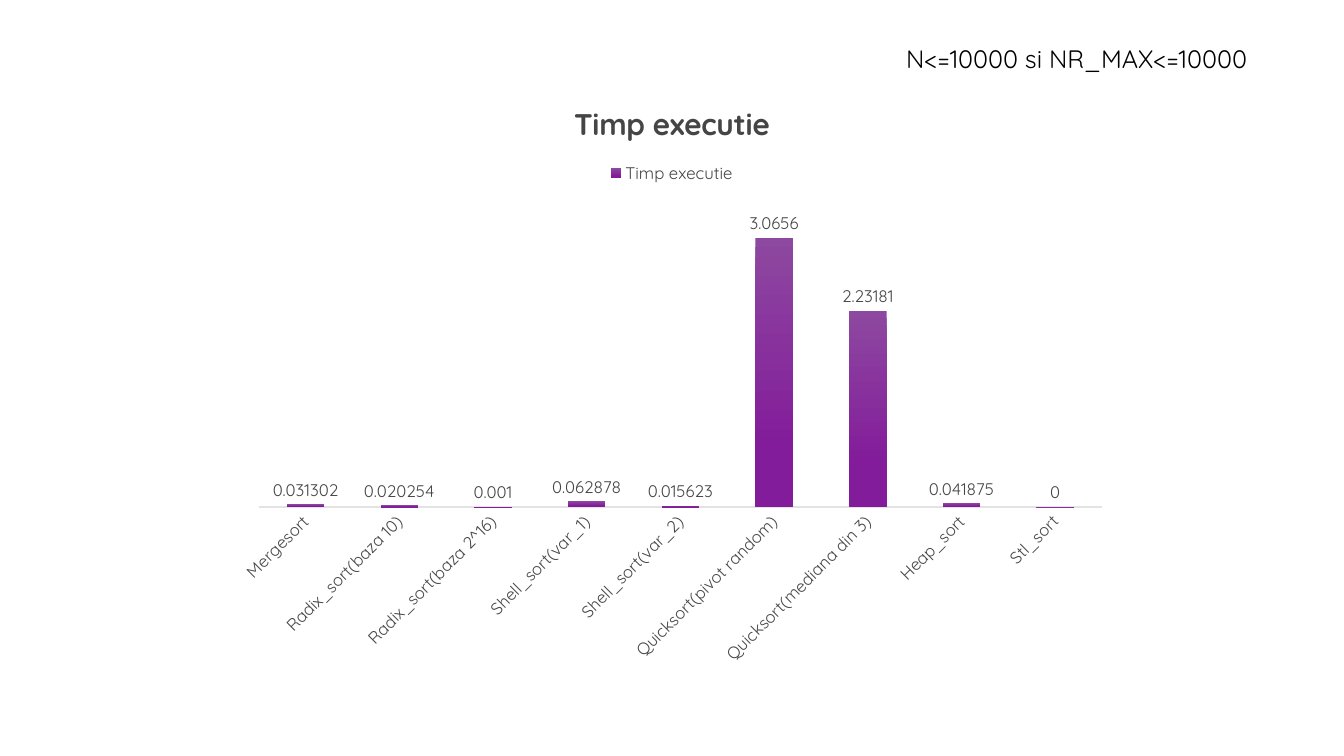
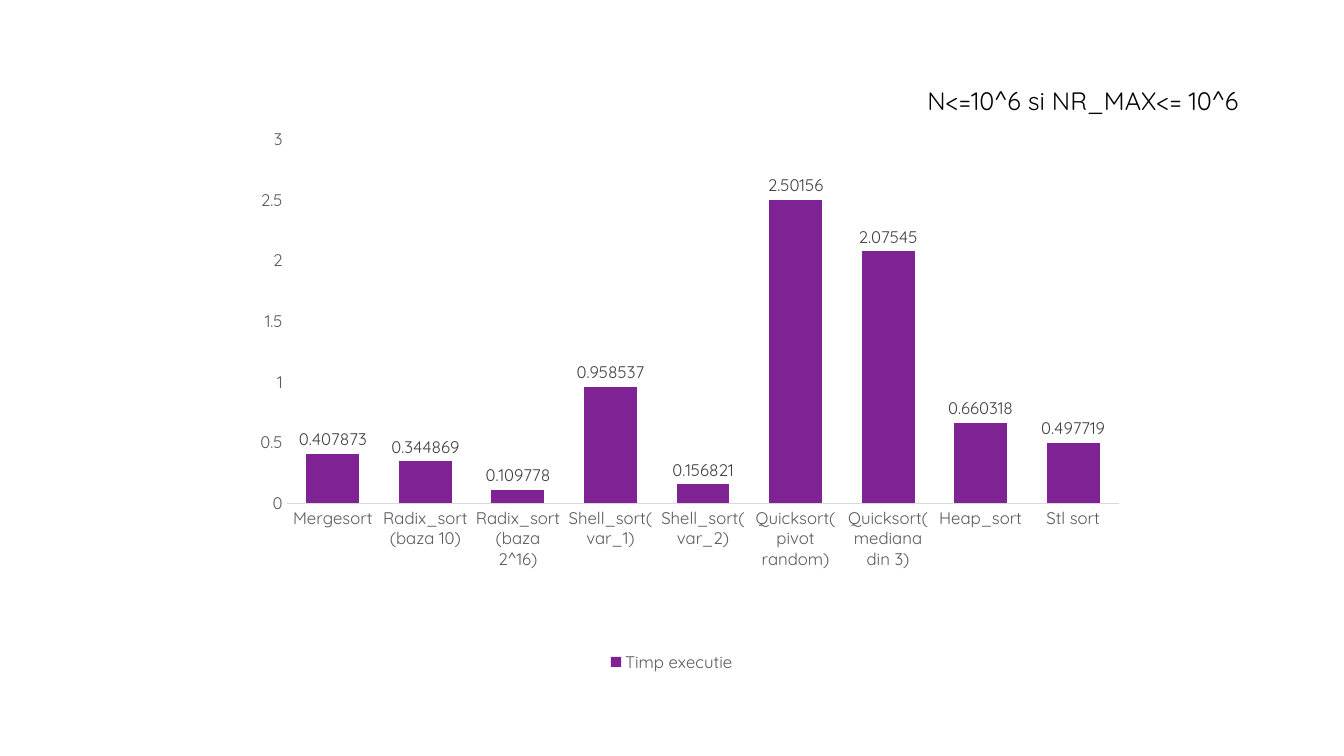
"""Build two slides of column charts on the run times of sorting methods."""
from lxml import etree
from pptx import Presentation
from pptx.chart.data import CategoryChartData
from pptx.dml.color import RGBColor
from pptx.enum.chart import XL_CHART_TYPE, XL_LABEL_POSITION, XL_LEGEND_POSITION, XL_TICK_MARK
from pptx.enum.text import MSO_ANCHOR, MSO_AUTO_SIZE, PP_ALIGN
from pptx.oxml import parse_xml
from pptx.util import Pt

PX = 10160
FACE = "Quicksand"
NAME = "Timp executie"
CHART_NS = "http://schemas.openxmlformats.org/drawingml/2006/chart"
COLUMN = XL_CHART_TYPE.COLUMN_CLUSTERED
OUTSIDE = XL_LABEL_POSITION.OUTSIDE_END
TOP, BOTTOM = XL_LEGEND_POSITION.TOP, XL_LEGEND_POSITION.BOTTOM
NO_TICK = XL_TICK_MARK.NONE
UPPER, FIXED, LEFT = MSO_ANCHOR.TOP, MSO_AUTO_SIZE.NONE, PP_ALIGN.LEFT

COLORS = {
    "black": "000000", "dark": "454545", "gray": "595959", "label": "404040",
    "pale": "E3E3E3", "rule": "D9D9D9",
    "light": "8D48A0", "deep": "831C9A", "purple": "7F2294",
}
SORTS = [
    "Mergesort", "Radix_sort(baza 10)", "Radix_sort(baza 2^16)",
    "Shell_sort(var_1)", "Shell_sort(var_2)", "Quicksort(pivot random)",
    "Quicksort(mediana din 3)", "Heap_sort",
]
SLIDES = [
    {
        "title": "N<=10000 si NR_MAX<=10000", "box": (800, 34, 375, 36),
        "last": "Stl_sort",
        "times": [0.031302, 0.020254, 0.001, 0.062878, 0.015623,
                  3.0656, 2.23181, 0.041875, 0],
        "head": True, "legend": TOP, "gap": 150, "lap": -25, "turn": -45,
        "text": "dark", "label": "dark", "line": "pale",
        "fill": ("light", "deep"), "plot": None,
    },
    {
        "title": "N<=10^6 si NR_MAX<= 10^6", "box": (819, 72, 324, 36),
        "last": "Stl sort",
        "times": [0.407873, 0.344869, 0.109778, 0.958537, 0.156821,
                  2.50156, 2.07545, 0.660318, 0.497719],
        "head": False, "legend": BOTTOM, "gap": 75, "lap": 0, "turn": 0,
        "text": "gray", "label": "label", "line": "rule",
        "fill": ("purple",), "plot": (0.07, 0.1, 0.93, 0.61),
    },
]


def color(key):
    return RGBColor.from_string(COLORS[key])


def style(font, size, key, bold=False):
    font.name = FACE
    font.size = Pt(size)
    font.bold = bold
    font.color.rgb = color(key)


prs = Presentation()
prs.slide_width, prs.slide_height = 1200 * PX, 675 * PX

for page in SLIDES:
    slide = prs.slides.add_slide(prs.slide_layouts[5])

    title = slide.shapes.title
    title.left, title.top, title.width, title.height = [n * PX for n in page["box"]]
    frame = title.text_frame
    frame.text = page["title"]
    frame.word_wrap = True
    frame.auto_size = FIXED
    frame.vertical_anchor = UPPER
    para = frame.paragraphs[0]
    para.alignment = LEFT
    style(para.font, 18, "black")

    data = CategoryChartData(number_format="General")
    data.categories = SORTS + [page["last"]]
    data.add_series(NAME, page["times"])
    box = [n * PX for n in (200, 71, 800, 533)]
    chart = slide.shapes.add_chart(COLUMN, *box, data).chart
    style(chart.font, 10, "black")

    chart.has_title = page["head"]
    if page["head"]:
        head = chart.chart_title.text_frame
        head.text = NAME
        style(head.paragraphs[0].font, 21.3, page["text"], True)

    chart.has_legend = True
    chart.legend.position = page["legend"]
    chart.legend.include_in_layout = False
    style(chart.legend.font, 12, page["text"])

    for axis in (chart.category_axis, chart.value_axis):
        axis.has_major_gridlines = False
        axis.major_tick_mark = axis.minor_tick_mark = NO_TICK
        style(axis.tick_labels.font, 12, page["text"])
    base, scale = chart.category_axis, chart.value_axis
    base.format.line.color.rgb = color(page["line"])
    base.format.line.width = Pt(0.75)
    base._element.txPr.bodyPr.set("rot", str(page["turn"] * 60000))
    scale.format.line.fill.background()
    scale.visible = not page["head"]

    plot = chart.plots[0]
    plot.gap_width, plot.overlap = page["gap"], page["lap"]
    plot.vary_by_categories = False
    plot.has_data_labels = True
    labels = plot.data_labels
    labels.show_value = True
    labels.position = OUTSIDE
    style(labels.font, 12, page["label"])

    bars = plot.series[0].format
    bars.line.fill.background()
    fill = bars.fill
    if len(page["fill"]) == 1:
        fill.solid()
        fill.fore_color.rgb = color(page["fill"][0])
    else:
        fill.gradient()
        fill.gradient_angle = 270
        for stop, key, place in zip(fill.gradient_stops, page["fill"], (0, 0.78)):
            stop.color.rgb = color(key)
            stop.position = place

    if page["plot"]:
        area = chart._chartSpace.chart.plotArea
        for old in area.findall(f"{{{CHART_NS}}}layout"):
            area.remove(old)
        layout = parse_xml(f'<c:layout xmlns:c="{CHART_NS}"><c:manualLayout/></c:layout>')
        rules = [("layoutTarget", "inner"), ("xMode", "edge"), ("yMode", "edge")]
        rules += zip("xywh", page["plot"])
        for tag, value in rules:
            etree.SubElement(layout[0], f"{{{CHART_NS}}}{tag}").set("val", str(value))
        area.insert(0, layout)

prs.save("out.pptx")
